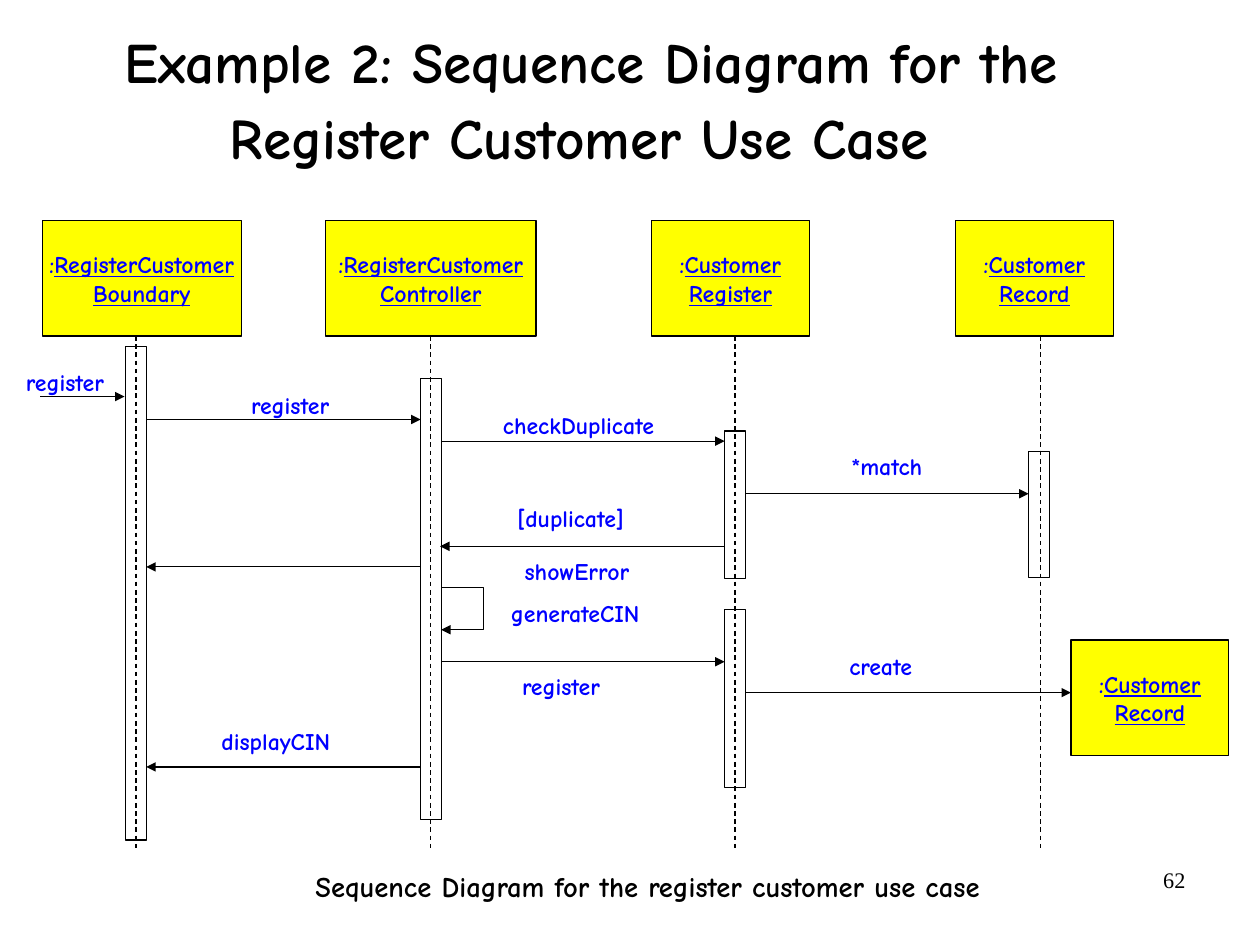
from dataclasses import dataclass

from lxml.etree import SubElement
from pptx import Presentation
from pptx.dml.color import RGBColor
from pptx.enum.dml import MSO_LINE
from pptx.enum.shapes import MSO_CONNECTOR, MSO_SHAPE
from pptx.enum.text import MSO_ANCHOR, MSO_AUTO_SIZE, PP_ALIGN
from pptx.oxml.ns import qn
from pptx.util import Inches, Pt

BLACK, BLUE, YELLOW = "000000", "0000FF", "FFFF00"
CM_PER_INCH = 2.54
PARTICIPANT_HEIGHT = 1.01
HEAD_TOP = 1.93
HEAD_BOTTOM = HEAD_TOP + PARTICIPANT_HEIGHT
LIFELINE_END = 7.44
BAR_WIDTH = 0.18


@dataclass
class Participant:
    name: str
    role: str
    left: float
    width: float
    top: float = HEAD_TOP
    lifeline: float | None = None
    centred: bool = False


@dataclass
class Activation:
    left: float
    top: float
    height: float


@dataclass
class Message:
    start: float
    end: float
    y: float


@dataclass
class Label:
    text: str
    left: float
    top: float
    width: float
    align: PP_ALIGN = PP_ALIGN.RIGHT


PARTICIPANTS = [
    Participant("RegisterCustomer", "Boundary", 0.37, 1.74, lifeline=1.19),
    Participant("RegisterCustomer", "Controller", 2.85, 1.84, lifeline=3.77, centred=True),
    Participant("Customer", "Register", 5.7, 1.38, lifeline=6.43),
    Participant("Customer", "Record", 8.36, 1.38, lifeline=9.1),
    Participant("Customer", "Record", 9.37, 1.38, top=5.6),
]
ACTIVATIONS = [
    Activation(1.1, 3.03, 4.32),
    Activation(3.68, 3.31, 3.86),
    Activation(6.34, 3.77, 1.29),
    Activation(6.34, 5.33, 1.56),
    Activation(9, 3.95, 1.1),
]
MESSAGES = [
    Message(0.35, 1.09, 3.47),
    Message(1.29, 3.68, 3.67),
    Message(3.86, 6.34, 3.86),
    Message(6.52, 9, 4.32),
    Message(6.34, 3.85, 4.78),
    Message(3.68, 1.28, 4.96),
    Message(3.86, 6.34, 5.79),
    Message(6.52, 9.37, 6.06),
    Message(3.68, 1.28, 6.71),
]
LABELS = [
    Label("register", 0.22, 3.22, 0.69),
    Label("register", 2.19, 3.42, 0.69),
    Label("checkDuplicate", 4.4, 3.59, 1.33, PP_ALIGN.LEFT),
    Label("*match", 7.44, 3.95, 0.63),
    Label("[duplicate]", 4.52, 4.41, 0.94),
    Label("showError", 4.59, 4.87, 0.92, PP_ALIGN.LEFT),
    Label("generateCIN", 4.47, 5.24, 1.14, PP_ALIGN.LEFT),
    Label("create", 7.42, 5.7, 0.56),
    Label("register", 4.56, 5.88, 0.69),
    Label("displayCIN", 1.92, 6.36, 0.97),
]


def color(hex_value: str) -> RGBColor:
    return RGBColor.from_string(hex_value)


def write(paragraph, text: str, *, size: float = 15, font: str = "Comic Neue", ink: str = BLUE,
          bold: bool = True, underline: bool = False, align: PP_ALIGN = PP_ALIGN.CENTER) -> None:
    paragraph.alignment = align
    run = paragraph.add_run()
    run.text = text
    run.font.size = Pt(size)
    run.font.name = font
    run.font.bold = bold
    run.font.underline = underline
    run.font.color.rgb = color(ink)


def set_margins(frame, horizontal: float, vertical: float) -> None:
    frame.margin_left = frame.margin_right = Inches(horizontal)
    frame.margin_top = frame.margin_bottom = Inches(vertical)


def outline(shape) -> None:
    shape.line.color.rgb = color(BLACK)
    shape.line.width = Pt(0.75)


def add_arrowhead(shape) -> None:
    SubElement(shape.element.spPr.find(qn("a:ln")), qn("a:tailEnd"), type="triangle")


def draw_line(slide, x1: float, y1: float, x2: float, y2: float):
    line = slide.shapes.add_connector(
        MSO_CONNECTOR.STRAIGHT, Inches(x1), Inches(y1), Inches(x2), Inches(y2))
    outline(line)
    SubElement(line.element.spPr, qn("a:effectLst"))
    return line


def draw_rectangle(slide, left: float, top: float, width: float, height: float):
    rectangle = slide.shapes.add_shape(
        MSO_SHAPE.RECTANGLE, Inches(left), Inches(top), Inches(width), Inches(height))
    rectangle.shadow.inherit = False
    rectangle.fill.background()
    outline(rectangle)
    return rectangle


def draw_participant(slide, item: Participant) -> None:
    head = draw_rectangle(slide, item.left, item.top, item.width, PARTICIPANT_HEIGHT)
    head.fill.solid()
    head.fill.fore_color.rgb = color(YELLOW)
    frame = head.text_frame
    frame.word_wrap = False
    frame.vertical_anchor = MSO_ANCHOR.MIDDLE
    set_margins(frame, 0.11, 0.06)
    write(frame.paragraphs[0], ":")
    write(frame.paragraphs[0], item.name, underline=True)
    write(frame.add_paragraph(), item.role, underline=True)
    if item.lifeline is not None:
        lifeline = draw_line(slide, item.lifeline, HEAD_BOTTOM, item.lifeline, LIFELINE_END)
        lifeline.line.dash_style = MSO_LINE.DASH
        if item.centred:
            lifeline.begin_connect(head, 2)


def draw_label(slide, item: Label, height: float = 0.25, **text_format) -> None:
    box = slide.shapes.add_textbox(
        Inches(item.left), Inches(item.top), Inches(item.width), Inches(height))
    frame = box.text_frame
    frame.word_wrap = False
    frame.auto_size = MSO_AUTO_SIZE.SHAPE_TO_FIT_TEXT
    set_margins(frame, 0, 0)
    write(frame.paragraphs[0], item.text, align=item.align, **text_format)


def draw_self_call(slide, left: float, top: float, size: float) -> None:
    right, bottom = left + size, top + size
    builder = slide.shapes.build_freeform(Inches(left), Inches(top))
    corners = [(right, top), (right, bottom), (left, bottom)]
    builder.add_line_segments([(Inches(x), Inches(y)) for x, y in corners], close=False)
    self_call = builder.convert_to_shape()
    self_call.shadow.inherit = False
    self_call.fill.background()
    outline(self_call)
    add_arrowhead(self_call)


def draw_title(slide) -> None:
    title = slide.shapes.title
    title.left, title.top = Inches(0.49), Inches(-0.06)
    title.width, title.height = Inches(9.37), Inches(1.93)
    frame = title.text_frame
    frame.word_wrap = True
    frame.auto_size = MSO_AUTO_SIZE.NONE
    frame.vertical_anchor = MSO_ANCHOR.MIDDLE
    set_margins(frame, 0.02, 0.06)
    heading = frame.paragraphs[0]
    heading.line_spacing = 0.94
    write(heading, "Example 2: Sequence Diagram for the Register Customer Use Case",
          size=36, ink=BLACK)
    write(heading, " ", size=44, ink=BLACK)


def draw_page_number(slide) -> None:
    page_number = slide.shapes.add_textbox(Inches(7.9), Inches(7.53), Inches(2.57), Inches(0.57))
    page_number.text_frame.word_wrap = True
    write(page_number.text_frame.paragraphs[0], "62", size=14, font="Times New Roman",
          ink=BLACK, bold=False, align=PP_ALIGN.RIGHT)


def main() -> None:
    deck = Presentation()
    deck.slide_width, deck.slide_height = Inches(28 / CM_PER_INCH), Inches(21 / CM_PER_INCH)
    slide = deck.slides.add_slide(deck.slide_layouts[5])
    draw_title(slide)
    for participant in PARTICIPANTS:
        draw_participant(slide, participant)
    for bar in ACTIVATIONS:
        draw_rectangle(slide, bar.left, bar.top, BAR_WIDTH, bar.height)
    for message in MESSAGES:
        add_arrowhead(draw_line(slide, message.start, message.y, message.end, message.y))
    draw_self_call(slide, 3.86, 5.14, 0.37)
    for label in LABELS:
        draw_label(slide, label)
    caption = Label("Sequence Diagram for the register customer use case",
                    2.76, 7.6, 5.85, PP_ALIGN.LEFT)
    draw_label(slide, caption, height=0.3, size=18, ink=BLACK)
    draw_page_number(slide)
    deck.save("out.pptx")


if __name__ == "__main__":
    main()
